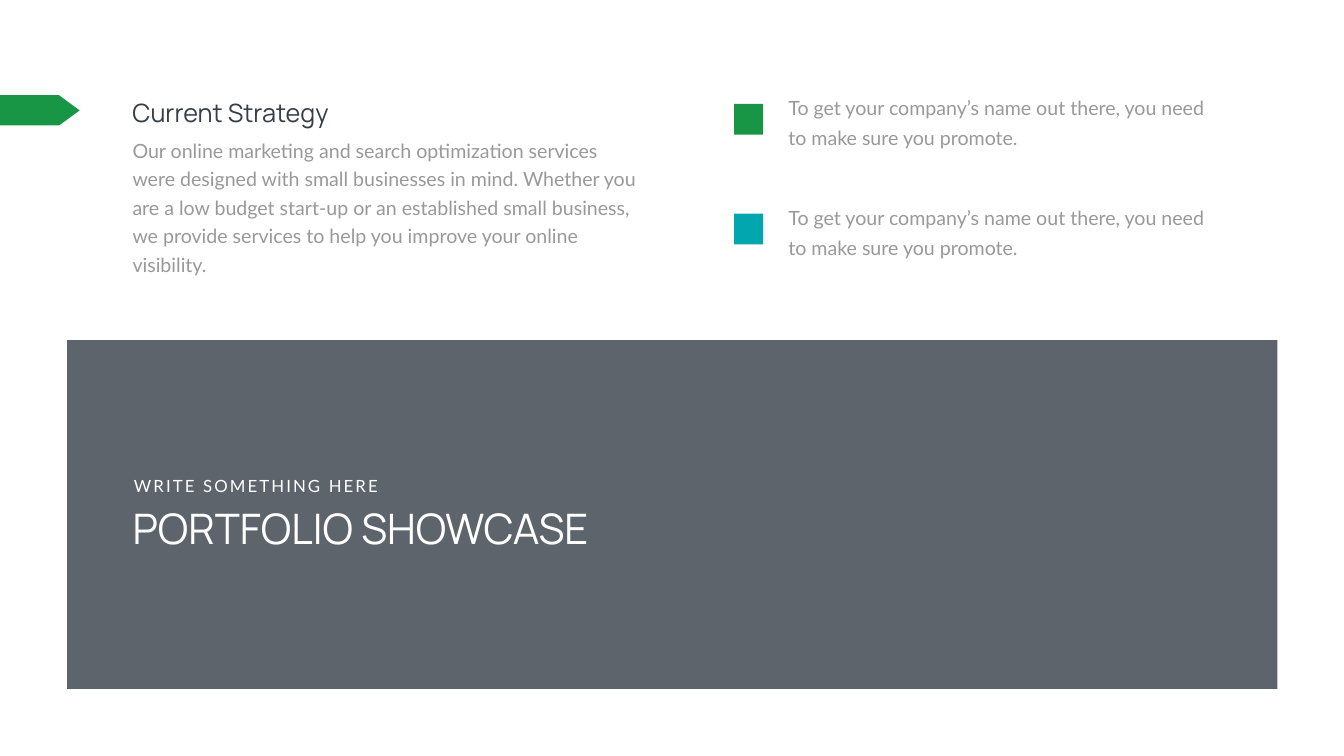
from lxml.etree import SubElement
from pptx import Presentation
from pptx.dml.color import RGBColor
from pptx.enum.shapes import MSO_SHAPE
from pptx.enum.text import MSO_ANCHOR, MSO_AUTO_SIZE, PP_ALIGN
from pptx.oxml.ns import qn
from pptx.util import Inches, Pt

SLATE = RGBColor(0x36, 0x3E, 0x48)
GRAY = RGBColor(0x99, 0x99, 0x99)
WHITE = RGBColor(0xFF, 0xFF, 0xFF)
GREEN = RGBColor(0x19, 0x96, 0x45)
TEAL = RGBColor(0x02, 0xA7, 0xAD)

TEXT_LEFT = 2.53
TEXT_WIDTH = 10.25
POINT_STEP = 2.18

STRATEGY = (
    "Our online marketing and search optimization services were designed with "
    "small businesses in mind. Whether you are a low budget start-up or an "
    "established small business, we provide services to help you improve your "
    "online visibility."
)
PROMOTION = (
    "To get your company’s name out there, you need to make sure you promote."
)


class SlideBuilder:
    heading_font = "Manrope"
    body_font = "Lato"

    def __init__(self, slide):
        self.slide = slide

    def block(self, kind, left, top, width, height, color, opacity=100):
        shape = self.slide.shapes.add_shape(
            kind, Inches(left), Inches(top), Inches(width), Inches(height)
        )
        shape.shadow.inherit = False
        shape.fill.solid()
        shape.fill.fore_color.rgb = color
        shape.line.fill.background()
        if opacity < 100:
            fill_color = shape.element.spPr.find(".//" + qn("a:srgbClr"))
            SubElement(fill_color, qn("a:alpha"), val=str(opacity * 1000))
        return shape

    def set_text(self, shape, text, font, size, color, line_spacing=None, tracking=0):
        """Fill a shape with one top-left run; tracking is in points."""
        frame = shape.text_frame
        frame.word_wrap = True
        frame.auto_size = MSO_AUTO_SIZE.NONE
        frame.vertical_anchor = MSO_ANCHOR.TOP
        paragraph = frame.paragraphs[0]
        paragraph.alignment = PP_ALIGN.LEFT
        if line_spacing:
            paragraph.line_spacing = Pt(line_spacing)
        run = paragraph.add_run()
        run.text = text
        run.font.name = font
        run.font.size = Pt(size)
        run.font.color.rgb = color
        if tracking:
            run._r.get_or_add_rPr().set("spc", str(tracking * 100))

    def text(self, left, top, width, height, text, font, size, color, **spacing):
        shape = self.slide.shapes.add_textbox(
            Inches(left), Inches(top), Inches(width), Inches(height)
        )
        self.set_text(shape, text, font, size, color, **spacing)

    def title(self, left, top, width, height, text):
        """Place the title placeholder in front of everything drawn so far."""
        shape = self.slide.shapes.title
        shape.left, shape.top = Inches(left), Inches(top)
        shape.width, shape.height = Inches(width), Inches(height)
        shape.element.getparent().append(shape.element)
        self.set_text(shape, text, self.heading_font, 60, WHITE)

    def point(self, top, color, text):
        """Add a coloured square with its text to the right."""
        self.block(MSO_SHAPE.RECTANGLE, 14.56, top + 0.33, 0.58, 0.61, color)
        self.text(15.54, top, 8.58, 1.25, text,
                  self.body_font, 28, GRAY, line_spacing=43)


def main():
    presentation = Presentation()
    presentation.slide_width = Inches(26.66)
    presentation.slide_height = Inches(15)
    title_only = presentation.slide_layouts[5]
    builder = SlideBuilder(presentation.slides.add_slide(title_only))

    builder.block(MSO_SHAPE.RECTANGLE, 1.33, 6.75, 24.01, 6.92, SLATE, opacity=80)
    builder.title(TEXT_LEFT, 9.92, TEXT_WIDTH, 1.11, "PORTFOLIO SHOWCASE")
    builder.text(2.56, 9.38, 5.14, 0.5, "WRITE SOMETHING HERE",
                 builder.body_font, 24, WHITE, tracking=3)

    builder.text(TEXT_LEFT, 2.6, TEXT_WIDTH, 2.94, STRATEGY,
                 builder.body_font, 28, GRAY, line_spacing=40.8)
    builder.text(TEXT_LEFT, 1.89, 4.43, 0.71, "Current Strategy",
                 builder.heading_font, 36, SLATE)

    for index, color in enumerate((GREEN, TEAL)):
        builder.point(1.73 + index * POINT_STEP, color, PROMOTION)

    marker = builder.block(MSO_SHAPE.PENTAGON, 0, 1.89, 1.58, 0.6, GREEN)
    marker.adjustments[0] = 0.68

    presentation.save("out.pptx")


if __name__ == "__main__":
    main()
